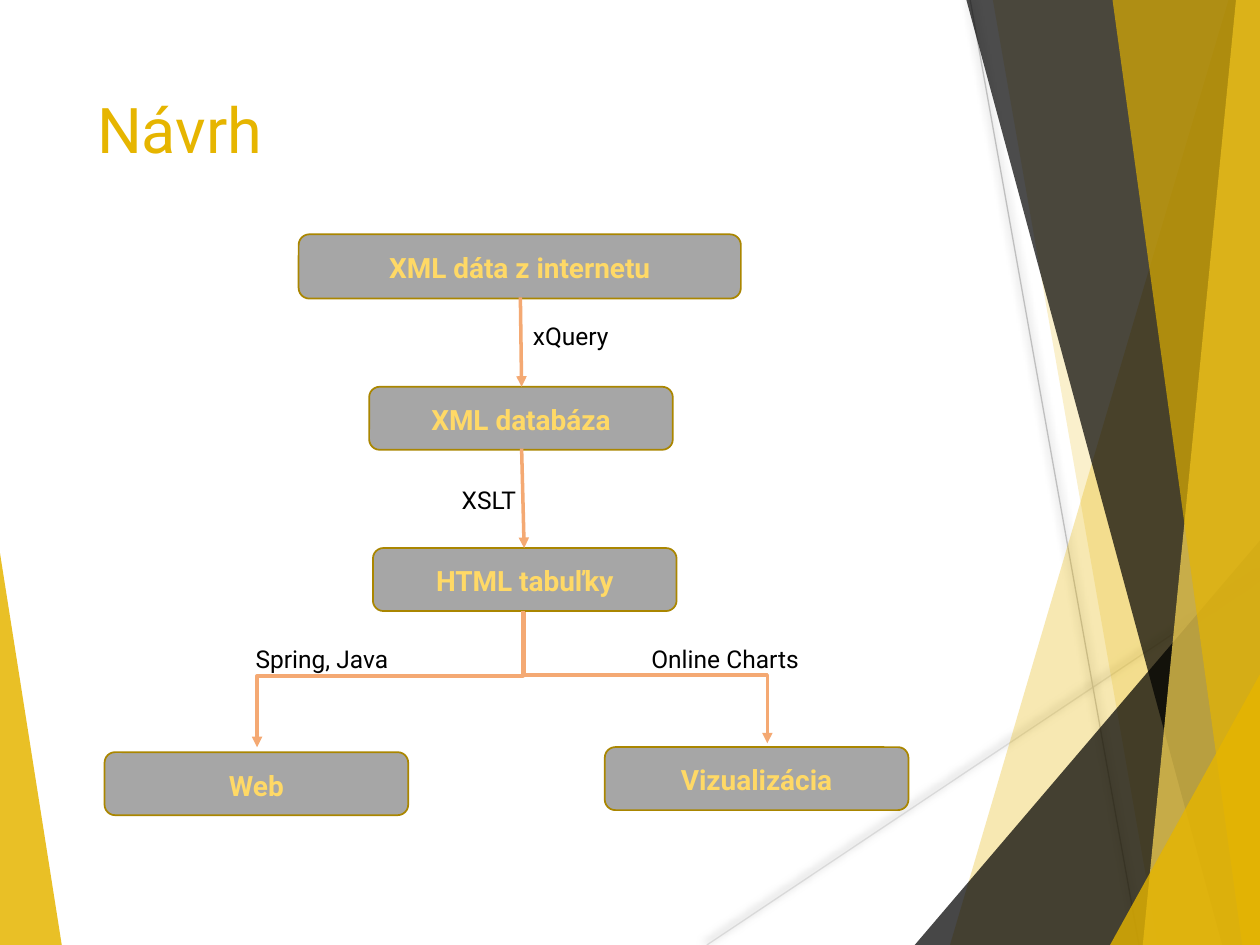
from dataclasses import dataclass

from lxml.etree import SubElement
from pptx import Presentation
from pptx.dml.color import RGBColor
from pptx.enum.shapes import MSO_CONNECTOR, MSO_SHAPE
from pptx.enum.text import MSO_ANCHOR, PP_ALIGN
from pptx.oxml.ns import qn
from pptx.util import Inches, Pt

FONT = "Roboto"
W, H = 10, 7.5
GOLD = RGBColor(0xE6, 0xB5, 0x00)
LIGHT_GOLD = RGBColor(0xFF, 0xDB, 0x57)
BOX_TEXT = RGBColor(0xFF, 0xD9, 0x66)
BOX_FILL = RGBColor(0xA6, 0xA6, 0xA6)
BOX_LINE = RGBColor(0xAA, 0x86, 0x00)
ARROW = RGBColor(0xF4, 0xA9, 0x73)
BLACK = RGBColor(0, 0, 0)
PALE_GRAY = RGBColor(0xD9, 0xD9, 0xD9)
GRAY = RGBColor(0xBF, 0xBF, 0xBF)


@dataclass
class Facet:
    points: list[tuple[float, float]]
    color: RGBColor
    alpha: int


@dataclass
class Ray:
    start: tuple[float, float]
    end: tuple[float, float]
    color: RGBColor


@dataclass
class Label:
    text: str
    left: float
    top: float
    width: float
    height: float
    boxed: bool = False


@dataclass
class Arrow:
    start: tuple[float, float]
    end: tuple[float, float]
    bent: bool = False


DECOR = [
    Facet([(0, 4.39), (0.49, H), (0, H)], GOLD, 85),
    Ray((5.61, H), (W, 4.57), PALE_GRAY),
    Ray((7.7, 0), (9.04, H), GRAY),
    Facet([(9.75, 0), (7.54, H), (W, H), (W, 0)], GOLD, 30),
    Facet([(7.88, 0), (9.19, H), (W, H), (W, 0)], GOLD, 20),
    Facet([(7.26, H), (W, 4.29), (W, H)], BLACK, 72),
    Facet([(7.67, 0), (9.7, H), (W, H), (W, 0)], BLACK, 70),
    Facet([(9.81, 0), (9.07, H), (W, H), (W, 0)], LIGHT_GOLD, 70),
    Facet([(8.83, 0), (9.86, H), (W, H), (W, 0)], GOLD, 65),
    Facet([(8.81, H), (W, 5.35), (W, H)], GOLD, 80),
]
BOX_W, BOX_H, LABEL_H = 2.41, 0.5, 0.44
LABELS = [
    Label("XML dáta z internetu", 2.37, 1.86, 3.51, 0.51, True),
    Label("XML databáza", 2.93, 3.07, BOX_W, BOX_H, True),
    Label("HTML tabuľky", 2.96, 4.35, BOX_W, BOX_H, True),
    Label("Web", 0.83, 5.97, BOX_W, BOX_H, True),
    Label("Vizualizácia", 4.8, 5.93, BOX_W, BOX_H, True),
    Label("xQuery", 3.89, 2.44, 1.28, LABEL_H),
    Label("XSLT", 3.24, 3.74, 1.28, LABEL_H),
    Label("Online Charts", 4.85, 5, 1.81, LABEL_H),
    Label("Spring, Java", 1.65, 5, 1.81, LABEL_H),
]
ARROWS = [
    Arrow((4.13, 2.36), (4.14, 3.07)),
    Arrow((4.14, 3.56), (4.16, 4.35)),
    Arrow((4.15, 4.85), (2.04, 5.93), True),
    Arrow((4.16, 4.86), (6.09, 5.9), True),
]


def set_font(font, color: RGBColor, **values) -> None:
    for name, value in {"name": FONT, **values}.items():
        setattr(font, name, value)
    font.color.rgb = color


def add_alpha(color_el, percent: int) -> None:
    SubElement(color_el, qn("a:alpha")).set("val", str(percent * 1000))


def draw_facet(shapes, facet: Facet) -> None:
    first, *rest = [(Inches(x), Inches(y)) for x, y in facet.points]
    builder = shapes.build_freeform(*first)
    builder.add_line_segments(rest, close=True)
    sp = builder.convert_to_shape()
    sp.shadow.inherit = False
    sp.fill.solid()
    sp.fill.fore_color.rgb = facet.color
    add_alpha(sp._element.spPr.find(qn("a:solidFill"))[0], facet.alpha)
    sp.line.fill.background()


def add_line(shapes, kind, start, end, color: RGBColor, width: float):
    cxn = shapes.add_connector(kind, *(Inches(v) for v in (*start, *end)))
    cxn.line.color.rgb = color
    cxn.line.width = Pt(width)
    effects = SubElement(cxn._element.spPr, qn("a:effectLst"))
    return cxn, effects


def draw_ray(shapes, ray: Ray) -> None:
    _, effects = add_line(shapes, MSO_CONNECTOR.STRAIGHT, ray.start, ray.end, ray.color, 0.75)
    shadow = SubElement(effects, qn("a:outerShdw"))
    for name, value in {"blurRad": Pt(5), "dist": Pt(2), "dir": 245 * 60000}.items():
        shadow.set(name, str(int(value)))
    color = SubElement(shadow, qn("a:srgbClr"))
    color.set("val", "000000")
    add_alpha(color, 50)


def draw_arrow(shapes, arrow: Arrow) -> None:
    start, end, kind = arrow.start, arrow.end, MSO_CONNECTOR.STRAIGHT
    dx, dy = end[0] - start[0], end[1] - start[1]
    if arrow.bent:
        kind = MSO_CONNECTOR.ELBOW
        cx, cy = start[0] + dx / 2, start[1] + dy / 2
        half_w, half_h = (dy / 2 if dx < 0 else -dy / 2), abs(dx) / 2
        start, end = (cx - half_w, cy - half_h), (cx + half_w, cy + half_h)
    cxn, _ = add_line(shapes, kind, start, end, ARROW, 2)
    spPr = cxn._element.spPr
    SubElement(spPr.find(qn("a:ln")), qn("a:tailEnd")).set("type", "triangle")
    if arrow.bent:
        spPr.find(qn("a:xfrm")).set("rot", str((90 if dx < 0 else 270) * 60000))
        guide = SubElement(spPr.find(qn("a:prstGeom")).find(qn("a:avLst")), qn("a:gd"))
        guide.set("name", "adj1")
        guide.set("fmla", "val 47700")


def draw_label(shapes, label: Label) -> None:
    place = [Inches(v) for v in (label.left, label.top, label.width, label.height)]
    if label.boxed:
        sp = shapes.add_shape(MSO_SHAPE.FLOWCHART_ALTERNATE_PROCESS, *place)
        sp.shadow.inherit = False
        sp.fill.solid()
        sp.fill.fore_color.rgb = BOX_FILL
        sp.line.color.rgb = BOX_LINE
        sp.line.width = Pt(1)
    else:
        sp = shapes.add_textbox(*place)
    tf = sp.text_frame
    tf.word_wrap = True
    tf.vertical_anchor = MSO_ANCHOR.MIDDLE
    p = tf.paragraphs[0]
    layout = {"alignment": PP_ALIGN.CENTER, "line_spacing": 1.07, "space_after": Pt(8)}
    for name, value in layout.items():
        setattr(p, name, value)
    r = p.add_run()
    r.text = label.text
    set_font(r.font, BOX_TEXT if label.boxed else BLACK,
             size=Pt(16 if label.boxed else 14), bold=label.boxed)


def draw_title(title, text: str) -> None:
    place = {"left": 0.67, "top": 0.67, "width": 6.94, "height": 1.44}
    for name, value in place.items():
        setattr(title, name, Inches(value))
    tf = title.text_frame
    tf.vertical_anchor = MSO_ANCHOR.TOP
    p = tf.paragraphs[0]
    p.alignment = PP_ALIGN.LEFT
    r = p.add_run()
    r.text = text
    set_font(r.font, GOLD, size=Pt(36))


prs = Presentation()
prs.slide_width, prs.slide_height = Inches(W), Inches(H)
s = prs.slides.add_slide(prs.slide_layouts[5])
for item in DECOR:
    (draw_facet if isinstance(item, Facet) else draw_ray)(s.shapes, item)
draw_title(s.shapes.title, "Návrh")
for label in LABELS:
    draw_label(s.shapes, label)
for arrow in ARROWS:
    draw_arrow(s.shapes, arrow)
prs.save("out.pptx")
